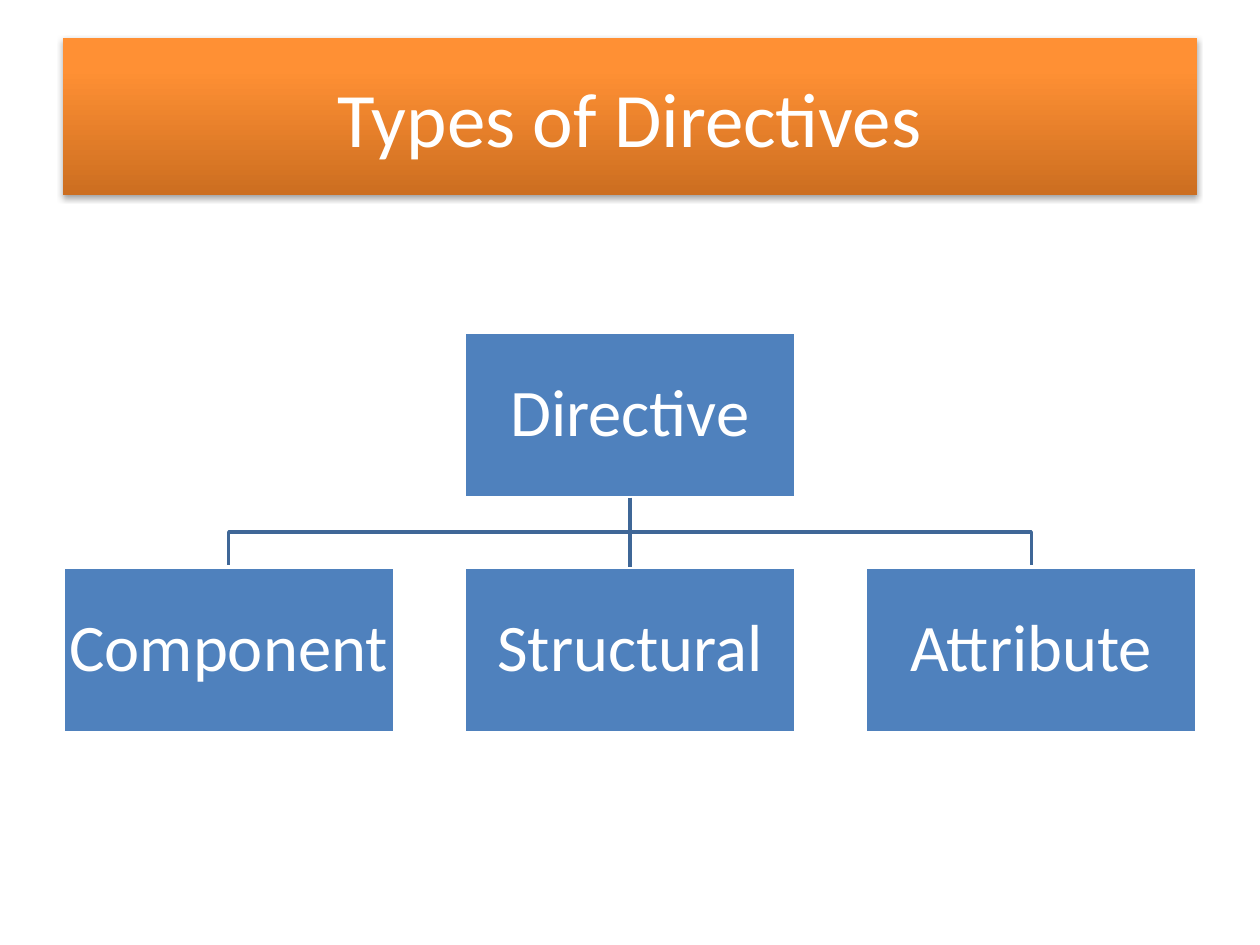
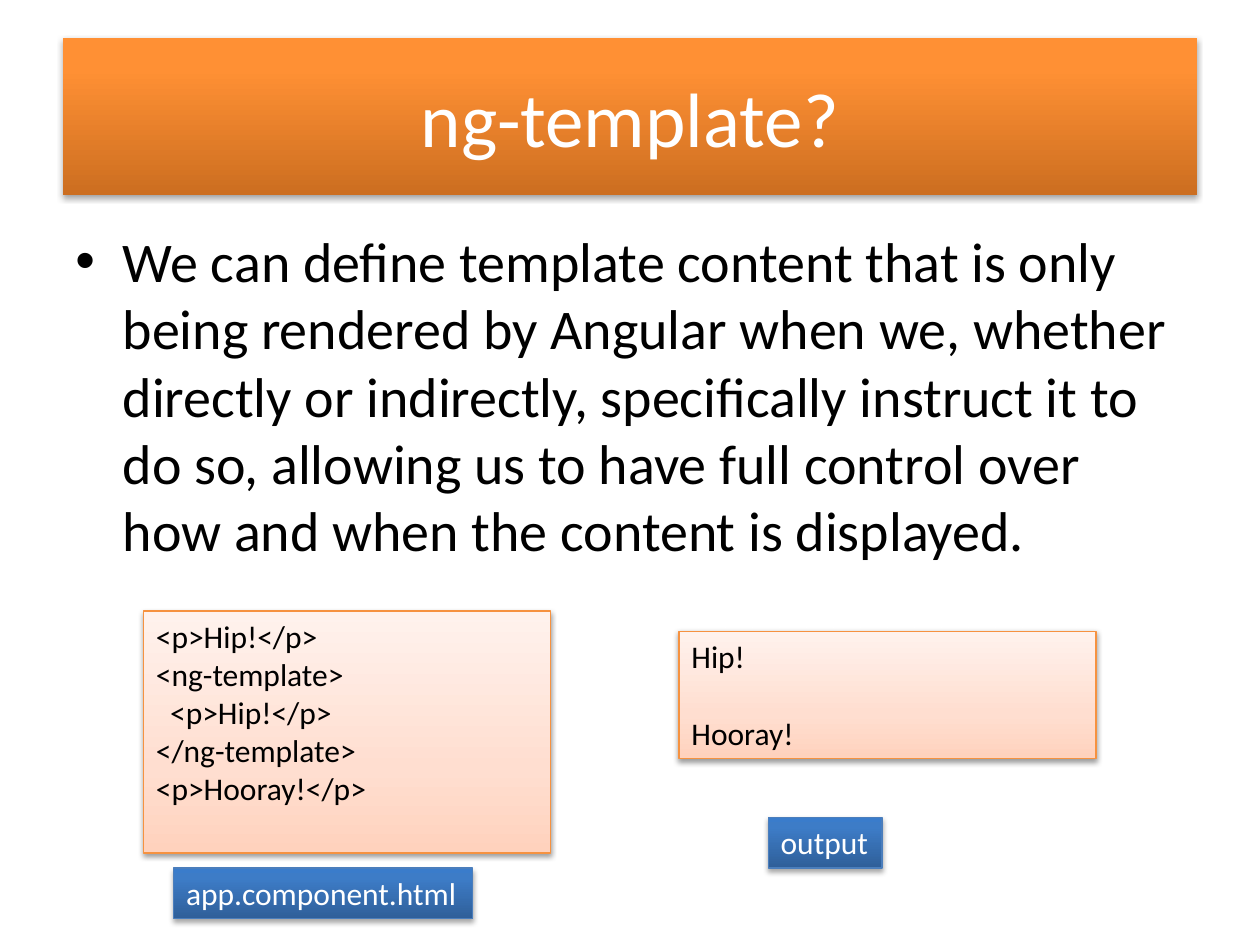
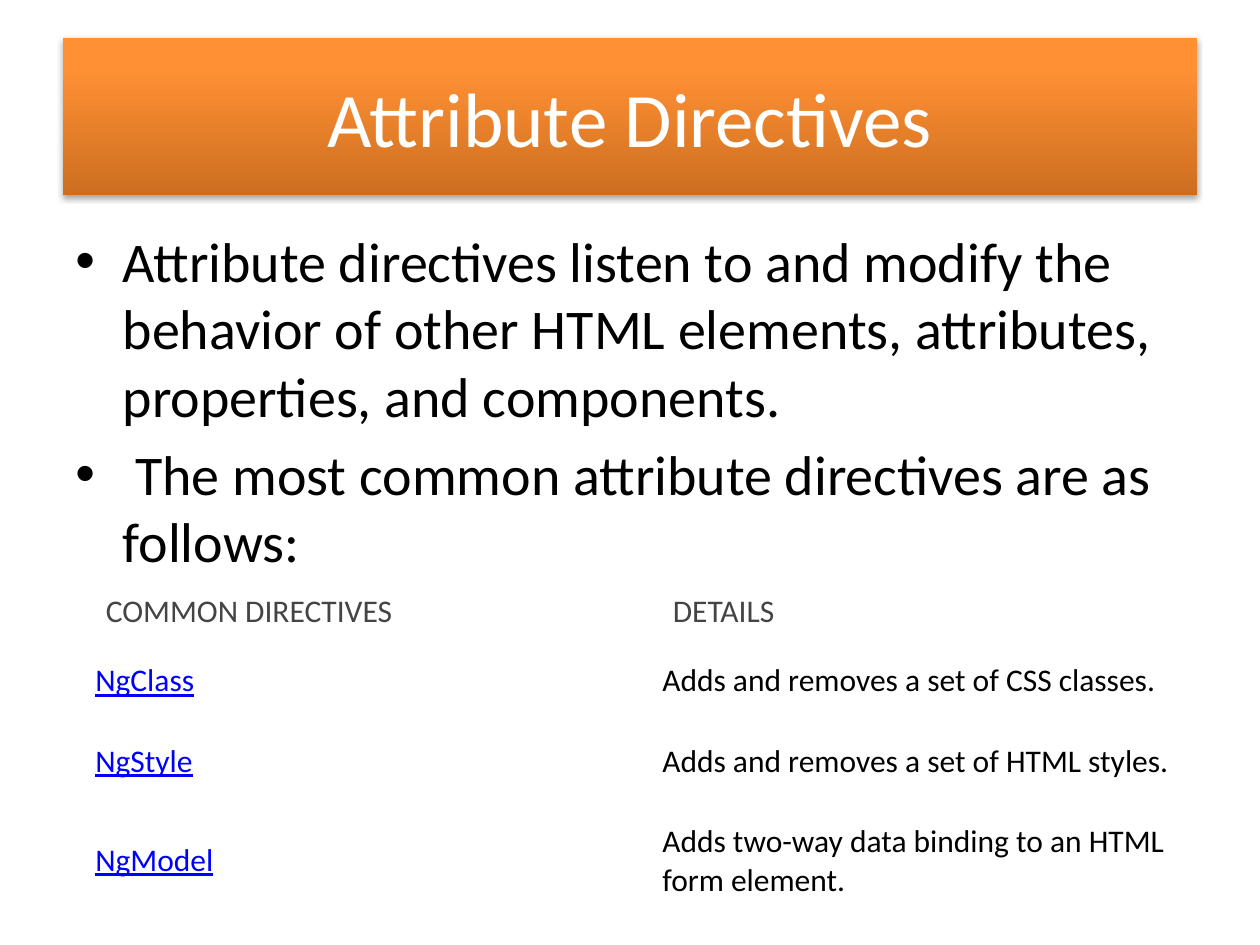
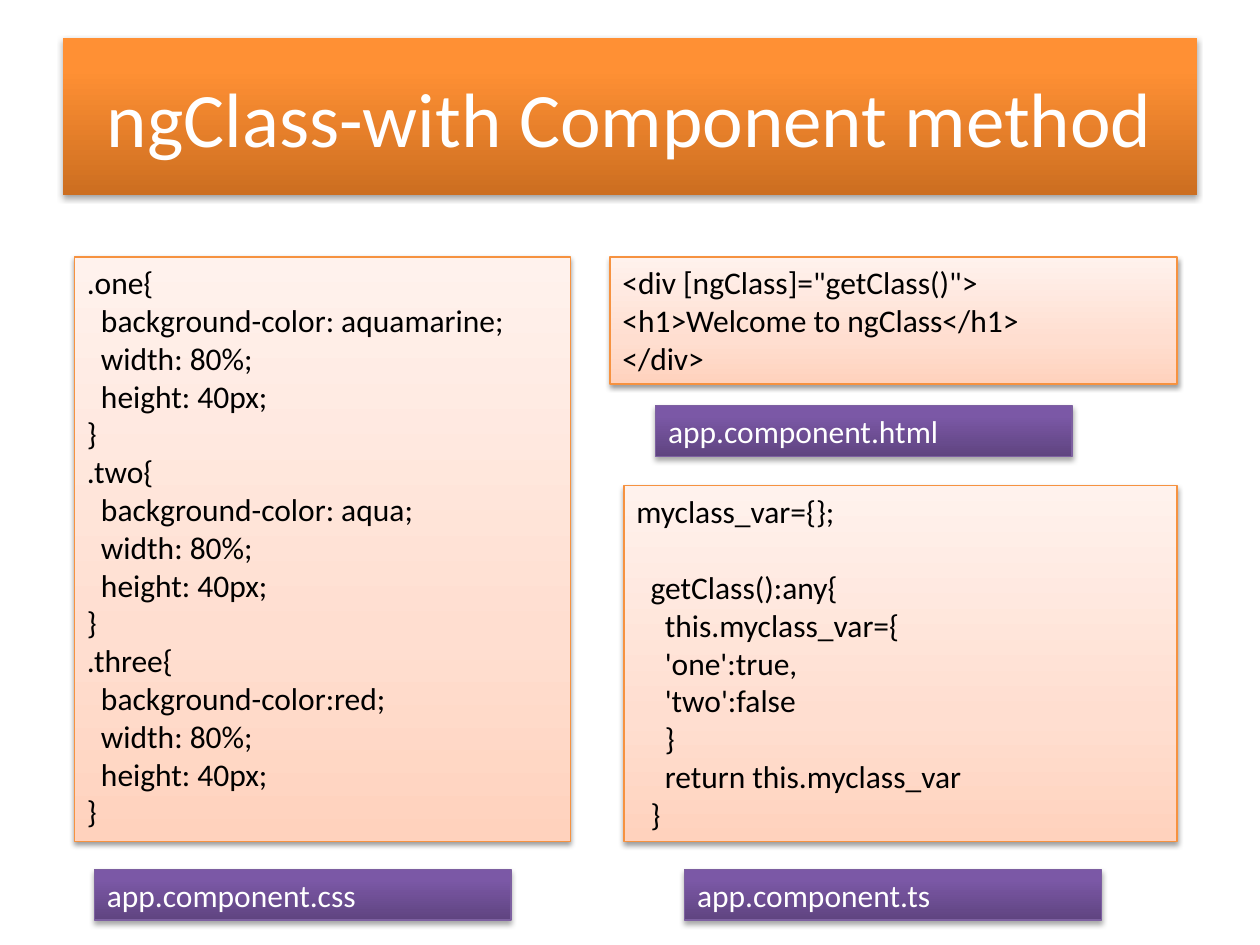
from lxml import etree
from pptx import Presentation
from pptx.dml.color import RGBColor
from pptx.enum import shapes, text
from pptx.oxml.ns import qn
from pptx.util import Pt

FONT = "Calibri"
WHITE, BLACK = "FFFFFF", "000000"
NODE_BLUE, LINK_BLUE, TREE_LINE = "4F81BD", "0000FF", "3F6797"
HEAD_GREY, RULE_GREY = "444444", "DBDBDB"

# Each look: gradient stops from bottom to top, outline, and shadow (opacity %, distance)
ORANGE = {"stops": [(0, "CC6E20"), (80, "FF9034"), (100, "FF9136")],
          "line": None, "shadow": (35, 1.8)}
PEACH = {"stops": [(0, "FFD2BD"), (35, "FFDED0"), (100, "FFF2ED")],
         "line": "F69240", "shadow": (38, 1.6)}
BLUE = {"stops": [(0, "2F5F99"), (80, "3D7CC7"), (100, "3A7CCB")],
        "line": "4B7EBC", "shadow": (35, 1.8)}
PURPLE = {"stops": [(0, "5F4480"), (80, "7B58A6"), (100, "7C57A8")],
          "line": "7D60A0", "shadow": (35, 1.8)}

CODE_SIZE = 18
CODE_LINE = 22      # height of one line of code
CODE_SPACE = 4.07   # width of one space of code
LABEL_W, LABEL_H = 238, 29

HIP_HTML = """<p>Hip!</p>
<ng-template>
  <p>Hip!</p>
</ng-template>
<p>Hooray!</p>"""

HIP_OUTPUT = """Hip!

Hooray!"""

CSS = """.one{
  background-color: aquamarine;
  width: 80%;
  height: 40px;
}
.two{
  background-color: aqua;
  width: 80%;
  height: 40px;
}
.three{
  background-color:red;
  width: 80%;
  height: 40px;
}"""

CLASS_HTML = """<div [ngClass]="getClass()">
<h1>Welcome to ngClass</h1>
</div>"""

CLASS_TS = """myclass_var={};

  getClass():any{
    this.myclass_var={
    'one':true,
    'two':false
    }
    return this.myclass_var
  }"""

DIRECTIVES = [
    ("COMMON DIRECTIVES", "DETAILS"),
    ("NgClass", "Adds and removes a set of CSS classes."),
    ("NgStyle", "Adds and removes a set of HTML styles."),
    ("NgModel", "Adds two-way data binding to an HTML form element."),
]


def rgb(value):
    return RGBColor.from_string(value)


def sub(parent, tag, **attrs):
    """Append a DrawingML child element."""
    return etree.SubElement(parent, qn("a:" + tag),
                            {k: str(v) for k, v in attrs.items()})


def sub_color(parent, color):
    return sub(parent, "srgbClr", val=color)


def add_run(p, words, size, color, **fmt):
    r = p.add_run()
    r.text = words
    r.font.color.rgb = rgb(color)
    for name, value in {"name": FONT, "size": Pt(size), **fmt}.items():
        setattr(r.font, name, value)


def set_frame(tf, wrap=True, anchor=text.MSO_ANCHOR.TOP, inset=None):
    tf.word_wrap = wrap
    tf.vertical_anchor = anchor
    if inset is not None:
        for side in ("left", "top", "right", "bottom"):
            setattr(tf, "margin_" + side, Pt(inset))


def add_rect(s, box):
    sp = s.shapes.add_shape(shapes.MSO_SHAPE.RECTANGLE, *map(Pt, box))
    sp.shadow.inherit = False
    return sp


def add_panel(s, box, look):
    """Rectangle with a vertical gradient and a soft shadow below."""
    sp = add_rect(s, box)
    sp.fill.gradient()
    sp.fill.gradient_angle = 90
    stops = sp.element.spPr.find(".//" + qn("a:gsLst"))
    for old in list(stops):
        stops.remove(old)
    for pos, color in look["stops"]:
        sub_color(sub(stops, "gs", pos=pos * 1000), color)
    if look["line"]:
        sp.line.color.rgb = rgb(look["line"])
        sp.line.width = Pt(0.75)
    else:
        sp.line.fill.background()
    opacity, dist = look["shadow"]
    effects = sp.element.spPr.find(qn("a:effectLst"))
    shadow = sub(effects, "outerShdw", blurRad=Pt(3.1), dist=Pt(dist),
                 dir=90 * 60000, rotWithShape=0)
    sub(sub_color(shadow, BLACK), "alpha", val=opacity * 1000)
    return sp


def add_titled_slide(prs, title):
    s = prs.slides.add_slide(prs.slide_layouts[6])
    tf = add_panel(s, (36, 21.6, 648, 90), ORANGE).text_frame
    set_frame(tf, anchor=text.MSO_ANCHOR.MIDDLE)
    p = tf.paragraphs[0]
    p.alignment = text.PP_ALIGN.CENTER
    add_run(p, title, 44, WHITE)
    return s


def add_bullets(s, height, items):
    tf = s.shapes.add_textbox(Pt(36), Pt(126), Pt(648), Pt(height)).text_frame
    set_frame(tf)
    for i, item in enumerate(items):
        p = tf.add_paragraph() if i else tf.paragraphs[0]
        p.space_before = Pt(6.4)
        props = p._p.get_or_add_pPr()
        props.set("marL", str(Pt(27)))
        props.set("indent", str(Pt(-27)))
        sub(props, "buFont", typeface="Arial")
        sub(props, "buChar", char="•")
        add_run(p, item, 32, BLACK)


def add_code(s, box, code):
    """Panel of code: leading spaces become indents, empty lines become spacing."""
    tf = add_panel(s, box, PEACH).text_frame
    set_frame(tf)
    p, gap = tf.paragraphs[0], 0
    for i, line in enumerate(code.splitlines()):
        if not line:
            gap += CODE_LINE
            continue
        if i:
            p = tf.add_paragraph()
        words = line.lstrip()
        p.alignment = text.PP_ALIGN.LEFT
        p.space_before = Pt(gap)
        indent = Pt(CODE_SPACE * (len(line) - len(words)))
        p._p.get_or_add_pPr().set("marL", str(indent))
        add_run(p, words, CODE_SIZE, BLACK)
        gap = 0


def add_label(s, x, y, words, look, width=LABEL_W, wrap=True):
    tf = add_panel(s, (x, y, width, LABEL_H), look).text_frame
    set_frame(tf, wrap)
    p = tf.paragraphs[0]
    p.alignment = text.PP_ALIGN.LEFT
    add_run(p, words, CODE_SIZE, WHITE)


def add_node(s, box, words):
    sp = add_rect(s, box)
    sp.fill.solid()
    sp.fill.fore_color.rgb = rgb(NODE_BLUE)
    sp.line.color.rgb = rgb(WHITE)
    sp.line.width = Pt(2)
    set_frame(sp.text_frame, anchor=text.MSO_ANCHOR.MIDDLE, inset=2)
    p = sp.text_frame.paragraphs[0]
    p.alignment = text.PP_ALIGN.CENTER
    p.line_spacing = 0.9
    add_run(p, words, 38, WHITE)
    return sp


def style_branch(branch):
    branch.line.color.rgb = rgb(TREE_LINE)
    branch.line.width = Pt(2)


def add_elbow(s, start, end):
    """Branch that goes down, across and down again."""
    (x1, y1), (x2, y2) = start, end
    mid = (y1 + y2) / 2
    points = [(x1, mid), (x2, mid), (x2, y2)]
    builder = s.shapes.build_freeform(Pt(x1), Pt(y1))
    builder.add_line_segments([(Pt(x), Pt(y)) for x, y in points], close=False)
    sp = builder.convert_to_shape()
    sp.fill.background()
    sp.shadow.inherit = False
    style_branch(sp)


def add_straight(s, parent, child):
    cn = s.shapes.add_connector(shapes.MSO_CONNECTOR.STRAIGHT, 0, 0, 0, 0)
    cn.begin_connect(parent, 2)
    cn.end_connect(child, 0)
    style_branch(cn)
    sub(cn.element.spPr, "effectLst")


def add_tree(s, root, children):
    w, h, left, pitch = 189.4, 94.7, 36, 229.3
    root_y, child_y = 189.6, 324
    xs = [left + i * pitch for i in range(len(children))]
    middle = len(children) // 2
    start = (xs[middle] + w / 2, root_y + h)
    for i, x in enumerate(xs):
        if i != middle:
            add_elbow(s, start, (x + w / 2, child_y))
    parent = add_node(s, (xs[middle], root_y, w, h), root)
    nodes = [add_node(s, (x, child_y, w, h), words)
             for x, words in zip(xs, children)]
    add_straight(s, parent, nodes[middle])


def add_bottom_rule(cell):
    props = cell._tc.get_or_add_tcPr()
    ln = etree.Element(qn("a:lnB"), w=str(Pt(0.75)))
    sub_color(sub(ln, "solidFill"), RULE_GREY)
    props.insert(0, ln)


def add_directive_table(s, rows):
    heights = [33.6, 46, 46, 66.6]
    table = s.shapes.add_table(len(rows), 2, Pt(42.5), Pt(332.6),
                               Pt(648), Pt(sum(heights))).table
    table.first_row = table.horz_banding = False
    for i, (row, height) in enumerate(zip(rows, heights)):
        table.rows[i].height = Pt(height)
        side, edge = (12, 12) if i else (18, 6)
        for j, words in enumerate(row):
            cell = table.cell(i, j)
            fmt = {"margin_left": Pt(side), "margin_right": Pt(side),
                   "margin_top": Pt(edge), "margin_bottom": Pt(edge),
                   "vertical_anchor": text.MSO_ANCHOR.MIDDLE}
            for name, value in fmt.items():
                setattr(cell, name, value)
            cell.fill.solid()
            cell.fill.fore_color.rgb = rgb(WHITE)
            if i < len(rows) - 1:
                add_bottom_rule(cell)
            is_name = i > 0 and j == 0
            color = LINK_BLUE if is_name else BLACK if i else HEAD_GREY
            add_run(cell.text_frame.paragraphs[0], words, 18, color,
                    underline=is_name)


def main():
    prs = Presentation()
    prs.slide_width, prs.slide_height = Pt(720), Pt(540)

    s = add_titled_slide(prs, "Types of Directives")
    add_tree(s, "Directive", ["Component", "Structural", "Attribute"])

    s = add_titled_slide(prs, "ng-template?")
    add_bullets(s, 212, [
        "We can define template content that is only being rendered by Angular "
        "when we, whether directly or indirectly, specifically instruct it to "
        "do so, allowing us to have full control over how and when the content "
        "is displayed."])
    add_code(s, (82, 349.2, 232.6, 138.2), HIP_HTML)
    add_code(s, (388, 360.7, 238.3, 72.7), HIP_OUTPUT)
    add_label(s, 99.2, 496, "app.component.html", BLUE, 171, wrap=False)
    add_label(s, 439, 467, "output", BLUE, 65, wrap=False)

    s = add_titled_slide(prs, "Attribute Directives")
    add_bullets(s, 356, [
        "Attribute directives listen to and modify the behavior of other HTML "
        "elements, attributes, properties, and components.",
        " The most common attribute directives are as follows:"])
    add_directive_table(s, DIRECTIVES)

    s = add_titled_slide(prs, "ngClass-with Component method")
    add_code(s, (42.5, 146.8, 283.6, 334), CSS)
    add_code(s, (348.6, 146.8, 324, 72.7), CLASS_HTML)
    add_label(s, 54, 496.8, "app.component.css", PURPLE)
    add_label(s, 374.7, 231.8, "app.component.html", PURPLE)
    add_code(s, (356.5, 277.4, 316.1, 203.5), CLASS_TS)
    add_label(s, 391.3, 496.8, "app.component.ts", PURPLE)

    prs.save("out.pptx")


if __name__ == "__main__":
    main()
